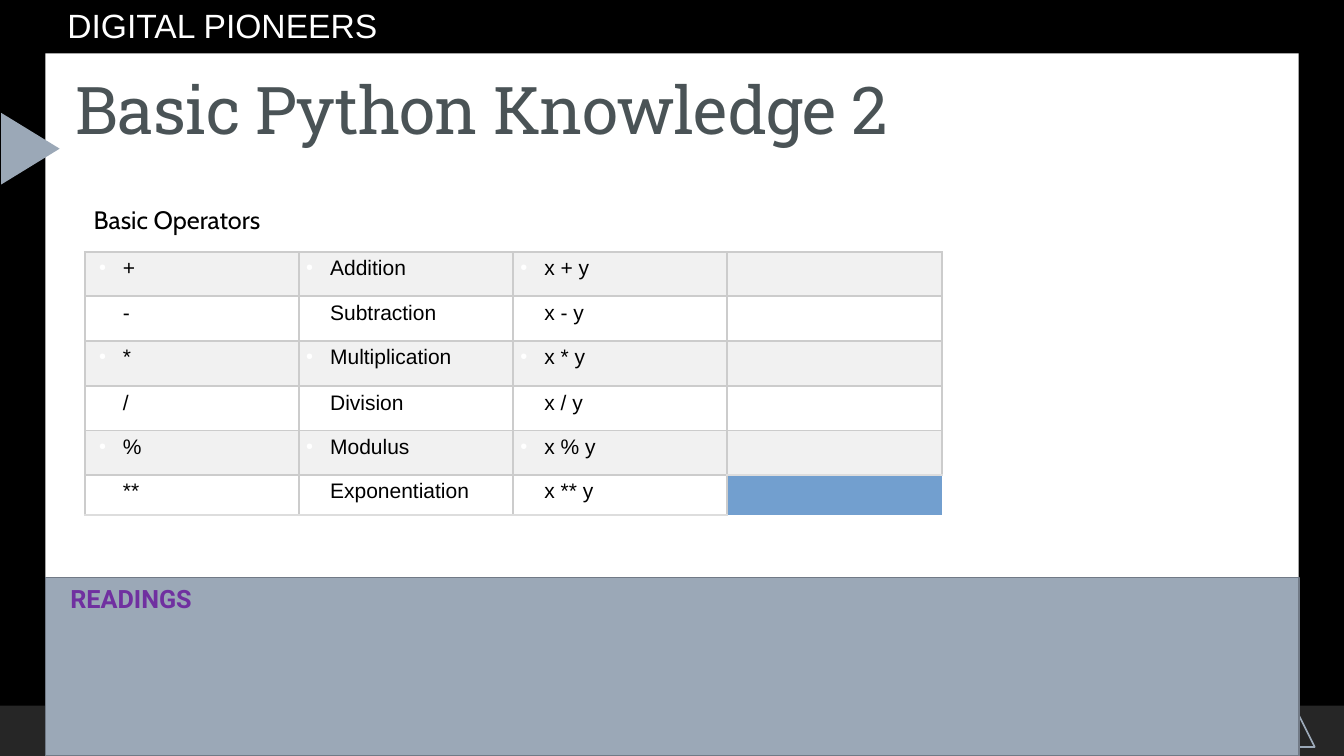
import pptx
import pptx.dml.color
import pptx.enum.shapes
import pptx.enum.text
import pptx.oxml.ns
import pptx.util
from lxml import etree

WIDTH, HEIGHT = 13.33, 7.5
SHAPES = pptx.enum.shapes.MSO_SHAPE

THEME = {
    "black": "000000",
    "white": "FFFFFF",
    "footer": "262626",
    "accent": "9BA8B7",
    "accent_edge": "717A86",
    "band": "F1F1F1",
    "highlight": "729FCF",
    "grid": "CCCCCC",
    "light_grid": "DDDDDD",
    "grid_width": 1.47,
    "outline_width": 1.25,
    "title": {"name": "Roboto Slab", "size": 47, "color": "4A5356"},
    "course": {"name": "Arial", "size": 24, "color": "FFFFFF"},
    "readings": {"name": "Roboto", "size": 18, "color": "7030A0", "bold": True},
    "heading": {"name": "Cabin", "size": 18, "color": "000000"},
    "cell": {"name": "Arial", "size": 15, "color": "000000"},
}

OPERATORS = [
    ("+", "Addition"),
    ("-", "Subtraction"),
    ("*", "Multiplication"),
    ("/", "Division"),
    ("%", "Modulus"),
    ("**", "Exponentiation"),
]
ROW_SHARES = [5.87, 5.87, 6, 5.87, 5.87, 5.2]
COLUMN_COUNT = 4


def across(percent):
    return pptx.util.Inches(WIDTH * percent / 100)


def down(percent):
    return pptx.util.Inches(HEIGHT * percent / 100)


def area(left, top, width, height):
    return across(left), down(top), across(width), down(height)


def colour(name):
    return pptx.dml.color.RGBColor.from_string(name)


def set_values(target, values):
    for name, value in values.items():
        setattr(target, name, value)


def write(paragraph, text, style):
    run = paragraph.add_run()
    run.text = text
    values = dict(style, size=pptx.util.Pt(style["size"]))
    run.font.color.rgb = colour(values.pop("color"))
    set_values(run.font, values)
    return run


def add_block(slide, kind, box, fill=None, line=None, rotation=0):
    shape = slide.shapes.add_shape(kind, *area(*box))
    shape.shadow.inherit = False
    shape.rotation = rotation
    if fill:
        shape.fill.solid()
        shape.fill.fore_color.rgb = colour(fill)
    else:
        shape.fill.background()
    if line:
        shape.line.color.rgb = colour(line)
        shape.line.width = pptx.util.Pt(THEME["outline_width"])
    else:
        shape.line.fill.background()


def add_label(slide, text, box, style):
    frame = slide.shapes.add_textbox(*area(*box)).text_frame
    frame.word_wrap = True
    write(frame.paragraphs[0], text, style)


def place_title(slide, text, box):
    title = slide.shapes.title
    set_values(title, dict(zip(("left", "top", "width", "height"), area(*box))))
    set_values(title.text_frame, {
        "word_wrap": True,
        "auto_size": pptx.enum.text.MSO_AUTO_SIZE.NONE,
        "vertical_anchor": pptx.enum.text.MSO_ANCHOR.MIDDLE,
    })
    paragraph = title.text_frame.paragraphs[0]
    set_values(paragraph, {
        "alignment": pptx.enum.text.PP_ALIGN.LEFT,
        "line_spacing": 0.9,
    })
    run = write(paragraph, text, THEME["title"])
    run.font._element.set("spc", "-50")
    slide.shapes._spTree.append(title._element)


def add_element(parent, tag, **attributes):
    return etree.SubElement(parent, pptx.oxml.ns.qn(tag), attributes)


def add_bullet(paragraph):
    properties = paragraph._p.get_or_add_pPr()
    indent = pptx.util.Inches(0.24)
    properties.set("marL", str(indent))
    properties.set("indent", str(-indent))
    add_element(add_element(properties, "a:buClr"), "a:srgbClr", val=THEME["white"])
    add_element(properties, "a:buSzPct", val="45000")
    add_element(properties, "a:buChar", char="●")


def add_borders(cell, edges):
    properties = cell._tc.get_or_add_tcPr()
    width = str(pptx.util.Pt(THEME["grid_width"]))
    for side, edge in edges.items():
        line = add_element(properties, f"a:ln{side}", w=width if edge else "0")
        if edge:
            add_element(add_element(line, "a:solidFill"), "a:srgbClr", val=edge)
        else:
            add_element(line, "a:noFill")


def cell_look(row, column):
    last_row = row == len(OPERATORS) - 1
    last_column = column == COLUMN_COUNT - 1
    edges = dict.fromkeys("LRTB", THEME["grid"])
    if last_row or (last_column and row == len(OPERATORS) - 2):
        edges["B"] = THEME["light_grid"]
    if last_row and last_column:
        edges.update(R=None, T=THEME["light_grid"], B=None)
        return THEME["highlight"], edges
    return THEME["white" if row % 2 else "band"], edges


def add_operator_table(slide, left, top, width):
    box = area(left, top, width, sum(ROW_SHARES))
    table = slide.shapes.add_table(len(OPERATORS), COLUMN_COUNT, *box).table
    set_values(table, {"first_row": False, "horz_banding": False})
    for column in table.columns:
        column.width = across(width / COLUMN_COUNT)
    for row, (symbol, name) in enumerate(OPERATORS):
        table.rows[row].height = down(ROW_SHARES[row])
        texts = (symbol, name, f"x {symbol} y", "")
        for column, text in enumerate(texts):
            cell = table.cell(row, column)
            fill, edges = cell_look(row, column)
            add_borders(cell, edges)
            cell.fill.solid()
            cell.fill.fore_color.rgb = colour(fill)
            if text:
                set_values(cell, {
                    "margin_left": pptx.util.Inches(0.07 if column else 0.14),
                    "margin_right": pptx.util.Inches(0.07),
                })
                paragraph = cell.text_frame.paragraphs[0]
                add_bullet(paragraph)
                write(paragraph, text, THEME["cell"])


def main():
    presentation = pptx.Presentation()
    presentation.slide_width = across(100)
    presentation.slide_height = down(100)
    slide = presentation.slides.add_slide(presentation.slide_layouts[5])
    slide.background.fill.solid()
    slide.background.fill.fore_color.rgb = colour(THEME["black"])

    triangle = SHAPES.ISOSCELES_TRIANGLE
    add_block(slide, SHAPES.RECTANGLE, (0, 93.33, 100, 6.67), THEME["footer"])
    add_block(slide, SHAPES.RECTANGLE, (3.38, 7.07, 93.25, 85.87), THEME["white"])
    add_block(slide, triangle, (85.82, 77.47, 12, 21.33), line=THEME["accent"])
    add_block(slide, triangle, (-0.4, 15.8, 5.33, 7.73), THEME["accent"], rotation=90)
    place_title(slide, "Basic Python Knowledge 2", (4.88, 8.27, 85.75, 13.33))
    add_label(slide, "DIGITAL PIONEERS", (4.28, 0, 25.5, 6.67), THEME["course"])
    add_block(slide, SHAPES.RECTANGLE, (3.38, 76.4, 93.25, 23.6),
              THEME["accent"], THEME["accent_edge"])
    add_label(slide, "READINGS", (4.5, 76.53, 11.85, 5.33), THEME["readings"])
    add_label(slide, "Basic Operators", (6.23, 26.4, 40, 5.33), THEME["heading"])
    add_operator_table(slide, 6.3, 33.33, 63.77)
    presentation.save("out.pptx")


if __name__ == "__main__":
    main()
